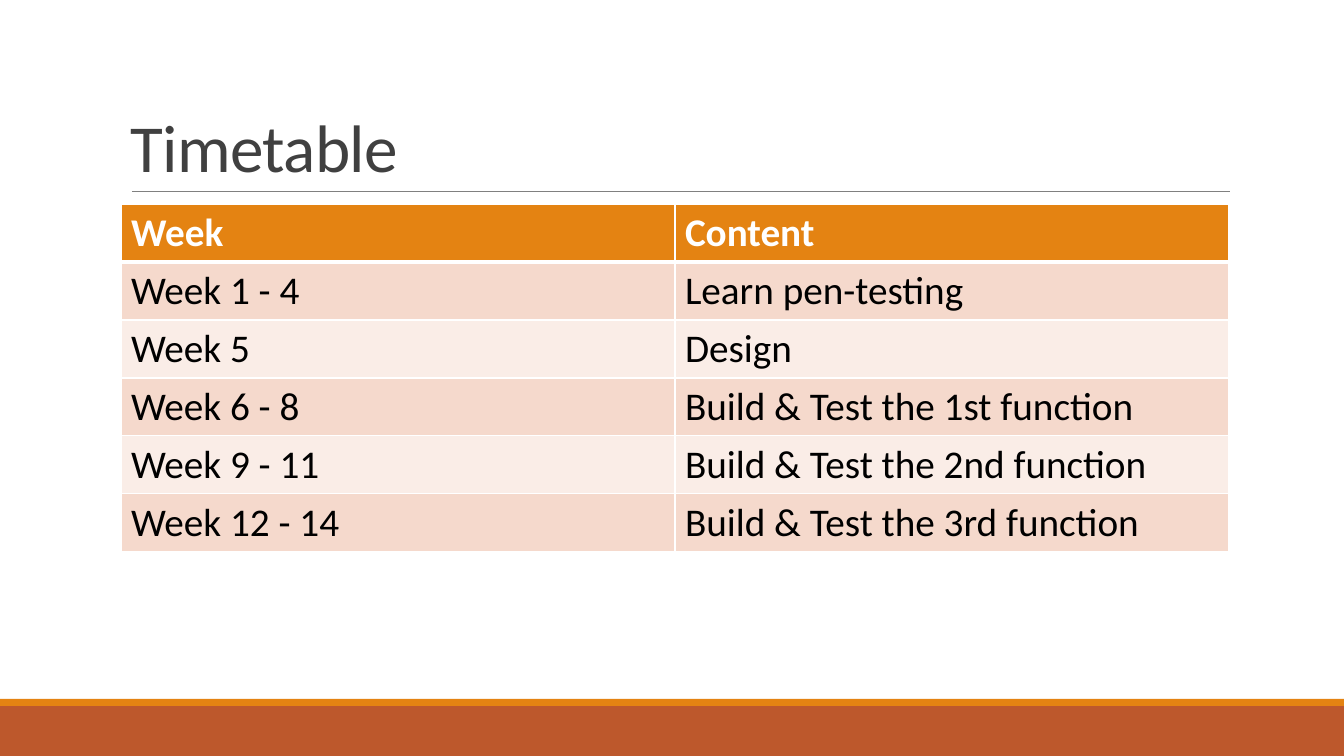
from dataclasses import dataclass

from lxml.etree import SubElement
from pptx import Presentation
from pptx.dml.color import RGBColor
from pptx.enum.shapes import MSO_CONNECTOR, MSO_SHAPE
from pptx.enum.text import MSO_ANCHOR
from pptx.oxml.ns import qn
from pptx.util import Emu, Pt

SLIDE_WIDTH, SLIDE_HEIGHT = 1344, 756
EMU_PER_PX = 12192000 / SLIDE_WIDTH


@dataclass(frozen=True)
class Theme:
    font: str = "Calibri"
    title_size: int = 48
    table_size: int = 28
    title: str = "404040"
    rule: str = "808080"
    accent: str = "E48312"
    footer: str = "BD582C"
    header_text: str = "FFFFFF"
    body_text: str = "000000"
    border: str = "FFFFFF"
    bands: tuple = ("F5D9CC", "FAEDE7")


THEME = Theme()

TIMETABLE = [
    ("Week", "Content"),
    ("Week 1 - 4", "Learn pen-testing"),
    ("Week 5", "Design"),
    ("Week 6 - 8", "Build & Test the 1st function"),
    ("Week 9 - 11", "Build & Test the 2nd function"),
    ("Week 12 - 14", "Build & Test the 3rd function"),
]


def px(*lengths):
    """Turn pixel lengths into a list of EMU lengths."""
    return [Emu(round(length * EMU_PER_PX)) for length in lengths]


def set_attributes(target, values):
    for name, value in values.items():
        setattr(target, name, value)


def write_text(text_frame, text, size, color, bold=False):
    """Fill the first paragraph with one formatted run and return the run."""
    run = text_frame.paragraphs[0].add_run()
    run.text = text
    set_attributes(run.font, {"name": THEME.font, "size": Pt(size), "bold": bold})
    run.font.color.rgb = RGBColor.from_string(color)
    return run


def add_band(slide, top, height, color):
    band = slide.shapes.add_shape(MSO_SHAPE.RECTANGLE, *px(0, top, SLIDE_WIDTH, height))
    band.shadow.inherit = False
    band.fill.solid()
    band.fill.fore_color.rgb = RGBColor.from_string(color)
    band.line.fill.background()


def add_rule(slide, left, right, y):
    rule = slide.shapes.add_connector(MSO_CONNECTOR.STRAIGHT, *px(left, y, right, y))
    rule.line.width = Pt(0.5)
    rule.line.color.rgb = RGBColor.from_string(THEME.rule)
    SubElement(rule._element.spPr, qn("a:effectLst"))


def add_title(slide, text, box):
    text_frame = slide.shapes.add_textbox(*px(*box)).text_frame
    set_attributes(text_frame, {"word_wrap": True, "vertical_anchor": MSO_ANCHOR.BOTTOM})
    text_frame.paragraphs[0].line_spacing = 0.85
    run = write_text(text_frame, text, THEME.title_size, THEME.title)
    run._r.get_or_add_rPr().set("spc", "-50")


def set_borders(cell, widths):
    """Draw cell borders; widths maps side letters L, R, T, B to points."""
    properties = cell._tc.get_or_add_tcPr()
    for side, width in widths.items():
        line = SubElement(properties, qn(f"a:ln{side}"), w=str(Pt(width)))
        fill = SubElement(line, qn("a:solidFill"))
        SubElement(fill, qn("a:srgbClr"), val=THEME.border)


def add_timetable(slide, rows, left, top, column_width, row_height):
    column_count = len(rows[0])
    size = (column_width * column_count, row_height * len(rows))
    table = slide.shapes.add_table(
        len(rows), column_count, *px(left, top, *size)).table
    for column in table.columns:
        column.width = px(column_width)[0]
    for row_index, row in enumerate(rows):
        table.rows[row_index].height = px(row_height)[0]
        is_header = row_index == 0
        fill = THEME.accent if is_header else THEME.bands[(row_index - 1) % 2]
        color = THEME.header_text if is_header else THEME.body_text
        widths = {"L": 1, "R": 1, "T": 3 if row_index == 1 else 1, "B": 3 if is_header else 1}
        for column_index, text in enumerate(row):
            cell = table.cell(row_index, column_index)
            set_borders(cell, widths)
            cell.fill.solid()
            cell.fill.fore_color.rgb = RGBColor.from_string(fill)
            write_text(cell.text_frame, text, THEME.table_size, color, is_header)


def main():
    presentation = Presentation()
    width, height = px(SLIDE_WIDTH, SLIDE_HEIGHT)
    set_attributes(presentation, {"slide_width": width, "slide_height": height})
    slide = presentation.slides.add_slide(presentation.slide_layouts[6])

    add_band(slide, 706, 50, THEME.footer)
    add_band(slide, 699, 7, THEME.accent)
    add_rule(slide, 132, 1230, 191)
    add_title(slide, "Timetable", (121, 31, 1109, 160))
    add_timetable(slide, TIMETABLE, left=121, top=204, column_width=554, row_height=58)

    presentation.save("out.pptx")


if __name__ == "__main__":
    main()
